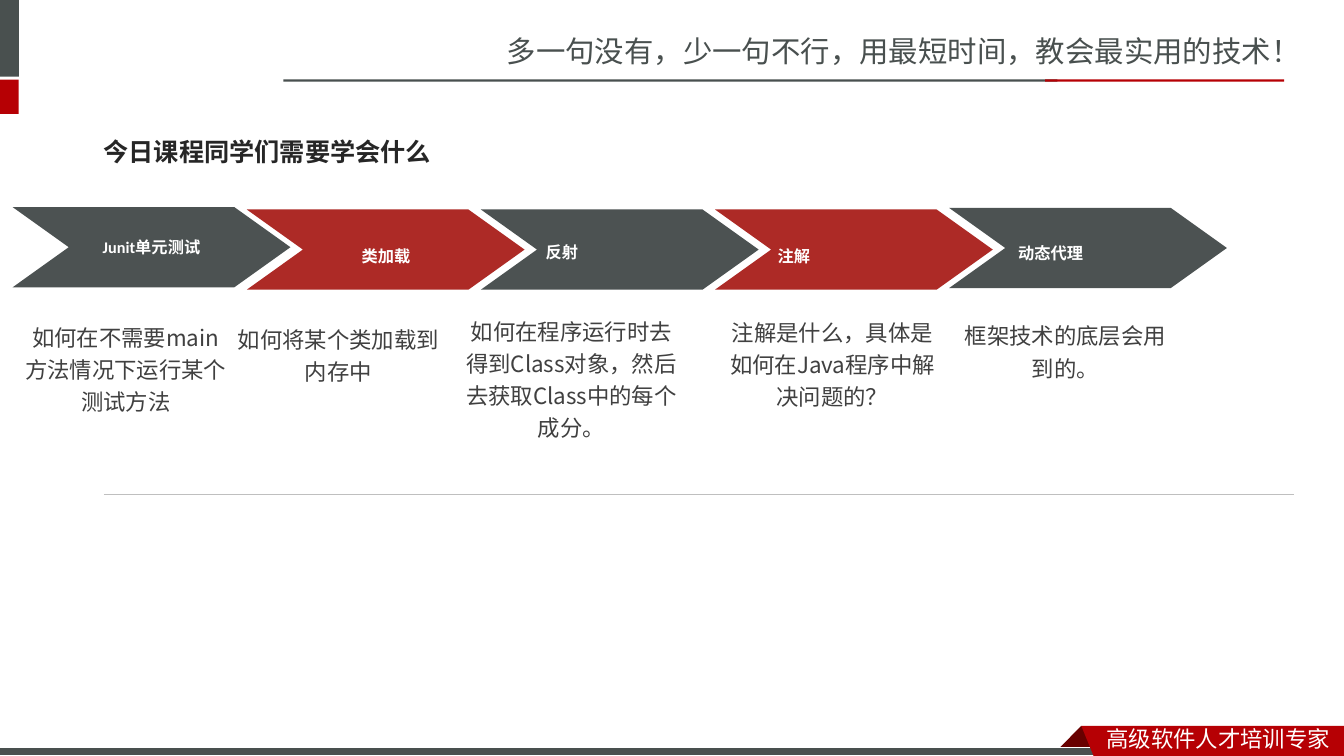
from dataclasses import dataclass

from lxml import etree
from pptx import Presentation
from pptx.dml.color import RGBColor
from pptx.enum.shapes import MSO_CONNECTOR, MSO_SHAPE
from pptx.enum.text import MSO_ANCHOR, PP_ALIGN
from pptx.oxml.ns import qn
from pptx.util import Cm, Pt

RECTANGLE, CHEVRON = MSO_SHAPE.RECTANGLE, MSO_SHAPE.CHEVRON
STRAIGHT = MSO_CONNECTOR.STRAIGHT
TOP, MIDDLE = MSO_ANCHOR.TOP, MSO_ANCHOR.MIDDLE
LEFT, CENTER = PP_ALIGN.LEFT, PP_ALIGN.CENTER


@dataclass(frozen=True)
class TextStyle:
    size: float
    color: str
    latin: str
    asian: str
    bold: bool = False


@dataclass(frozen=True)
class Theme:
    gray: str = "49504F"
    red: str = "B60004"
    fold: str = "680000"
    white: str = "FFFFFF"
    rule: str = "BFBFBF"
    arrows: tuple = ("4C5252", "AD2A26")
    slogan: TextStyle = TextStyle(21, "49504F", "Noto Sans CJK SC", "Noto Sans CJK SC")
    footer: TextStyle = TextStyle(16, "FFFFFF", "Noto Sans CJK SC", "Noto Sans CJK SC")
    title: TextStyle = TextStyle(18, "262626", "Noto Sans Mono", "Noto Sans CJK SC", True)
    label: TextStyle = TextStyle(11.6, "FFFFFF", "Calibri", "Noto Sans CJK JP", True)
    note: TextStyle = TextStyle(16, "404040", "Noto Sans CJK JP", "Noto Sans CJK JP")


@dataclass(frozen=True)
class Box:
    """An area of the slide, in centimetres."""
    left: float
    top: float
    width: float
    height: float

    def inner(self, left, top, width, height):
        return Box(self.left + left, self.top + top, width, height)

    def lengths(self):
        return Cm(self.left), Cm(self.top), Cm(self.width), Cm(self.height)


@dataclass(frozen=True)
class Step:
    """A course topic; label is its centre and note its corner, from the arrow column."""
    name: str
    note: tuple
    arrow_top: float
    label: tuple
    corner: tuple


THEME = Theme()
ARROW_PITCH, ARROW_WIDTH, ARROW_HEIGHT, ARROW_POINT = 5.9, 7, 2.02, 0.7
STEPS = (
    Step("Junit单元测试", ("如何在不需要main", "方法情况下运行某个", "测试方法"),
         0, (3.5, 1), (-0.07, 2.68)),
    Step("类加载", ("如何将某个类加载到内存中",), 0.06, (3.51, 1.22), (-0.61, 2.73)),
    Step("反射", ("如何在程序运行时去得到Class对象，然后去获取Class中的每个成分。",),
         0.06, (2.04, 1.14), (-0.64, 2.53)),
    Step("注解", ("注解是什么，具体是如何在Java程序中解决问题的？",),
         0.06, (1.99, 1.24), (0.04, 2.55)),
    Step("动态代理", ("框架技术的底层会用到的。",), 0.02, (2.56, 1.16), (0.01, 2.65)),
)


def paint(shape, color):
    shape.shadow.inherit = False
    shape.fill.solid()
    shape.fill.fore_color.rgb = RGBColor.from_string(color)
    shape.line.fill.background()


def add_block(page, box, color, kind=RECTANGLE):
    shape = page.shapes.add_shape(kind, *box.lengths())
    paint(shape, color)
    return shape


def add_outline(page, box, points, color):
    """Fill a polygon whose points are given from the corner of the box."""
    corners = [(Cm(box.left + x), Cm(box.top + y)) for x, y in points]
    builder = page.shapes.build_freeform(*corners[0], scale=1.0)
    builder.add_line_segments(corners[1:], close=True)
    paint(builder.convert_to_shape(), color)


def add_text(page, box, lines, style, align=LEFT, anchor=TOP, spacing=1.0):
    frame = page.shapes.add_textbox(*box.lengths()).text_frame
    frame.word_wrap = True
    frame.vertical_anchor = anchor
    for index, line in enumerate(lines):
        para = frame.add_paragraph() if index else frame.paragraphs[0]
        para.alignment = align
        para.line_spacing = spacing
        span = para.add_run()
        span.text = line
        span.font.size = Pt(style.size)
        span.font.bold = style.bold
        span.font.color.rgb = RGBColor.from_string(style.color)
        span.font.name = style.latin
        asian = etree.SubElement(span.font._element, qn("a:ea"))
        asian.set("typeface", style.asian)


def add_header(page, box):
    add_text(page, box.inner(12.52, 0.71, 21.35, 1.19),
             ["多一句没有，少一句不行，用最短时间，教会最实用的技术！"], THEME.slogan)
    add_block(page, box.inner(0, 0, 0.48, 1.93), THEME.gray)
    add_block(page, box.inner(0, 2.01, 0.47, 0.86), THEME.red)
    add_block(page, box.inner(7.14, 2, 19.51, 0.06), THEME.gray)
    add_block(page, box.inner(26.34, 2, 6.02, 0.06), THEME.red)


def add_footer(page, box):
    add_outline(page, box.inner(26.7, 0, 1.11, 0.58),
                [(0.55, 0), (1.11, 0.56), (1.09, 0.58), (0.02, 0.58), (0, 0.56)], THEME.fold)
    bar = add_block(page, box.inner(0, 0.54, 27.92, 0.22), THEME.gray)
    bar.line.color.rgb = RGBColor.from_string(THEME.white)
    bar.line.width = Pt(0.75)
    add_outline(page, box.inner(27.25, 0, 6.62, 0.76),
                [(0, 0), (6.62, 0), (6.62, 0.76), (0.31, 0.76)], THEME.red)
    add_text(page, box.inner(27.64, -0.13, 6.23, 0.94), ["高级软件人才培训专家"], THEME.footer)


def add_step(page, box, step, color):
    arrow = add_block(page, box.inner(0, step.arrow_top, ARROW_WIDTH, ARROW_HEIGHT),
                      color, CHEVRON)
    arrow.adjustments[0] = ARROW_POINT
    width, height = 4.4, 0.9
    center_x, center_y = step.label
    add_text(page, box.inner(center_x - width / 2, center_y - height / 2, width, height),
             [step.name], THEME.label, CENTER, MIDDLE)
    add_text(page, box.inner(*step.corner, 5.84, 0.85 * len(step.note) + 1),
             step.note, THEME.note, CENTER, spacing=1.2)


def add_steps(page, box):
    for index, step in enumerate(STEPS):
        column = box.inner(index * ARROW_PITCH, 0, ARROW_WIDTH, box.height)
        add_step(page, column, step, THEME.arrows[index % 2])


def add_rule(page, box):
    left, top, width, _ = box.lengths()
    line = page.shapes.add_connector(STRAIGHT, left, top, left + width, top)
    line.line.color.rgb = RGBColor.from_string(THEME.rule)
    line.line.width = Pt(0.25)
    etree.SubElement(line._element.spPr, qn("a:effectLst"))


def main():
    deck = Presentation()
    deck.slide_width, deck.slide_height = Cm(33.87), Cm(19.05)
    page = deck.slides.add_slide(deck.slide_layouts[6])
    add_header(page, Box(0, 0, 33.87, 2.87))
    add_footer(page, Box(0, 18.29, 33.87, 0.76))
    add_text(page, Box(2.36, 3.1, 10.36, 1.45), ["今日课程同学们需要学会什么"],
             THEME.title, anchor=MIDDLE)
    add_steps(page, Box(0.32, 5.22, 30.6, 6.1))
    add_rule(page, Box(2.62, 12.44, 30, 0))
    deck.save("out.pptx")


if __name__ == "__main__":
    main()
